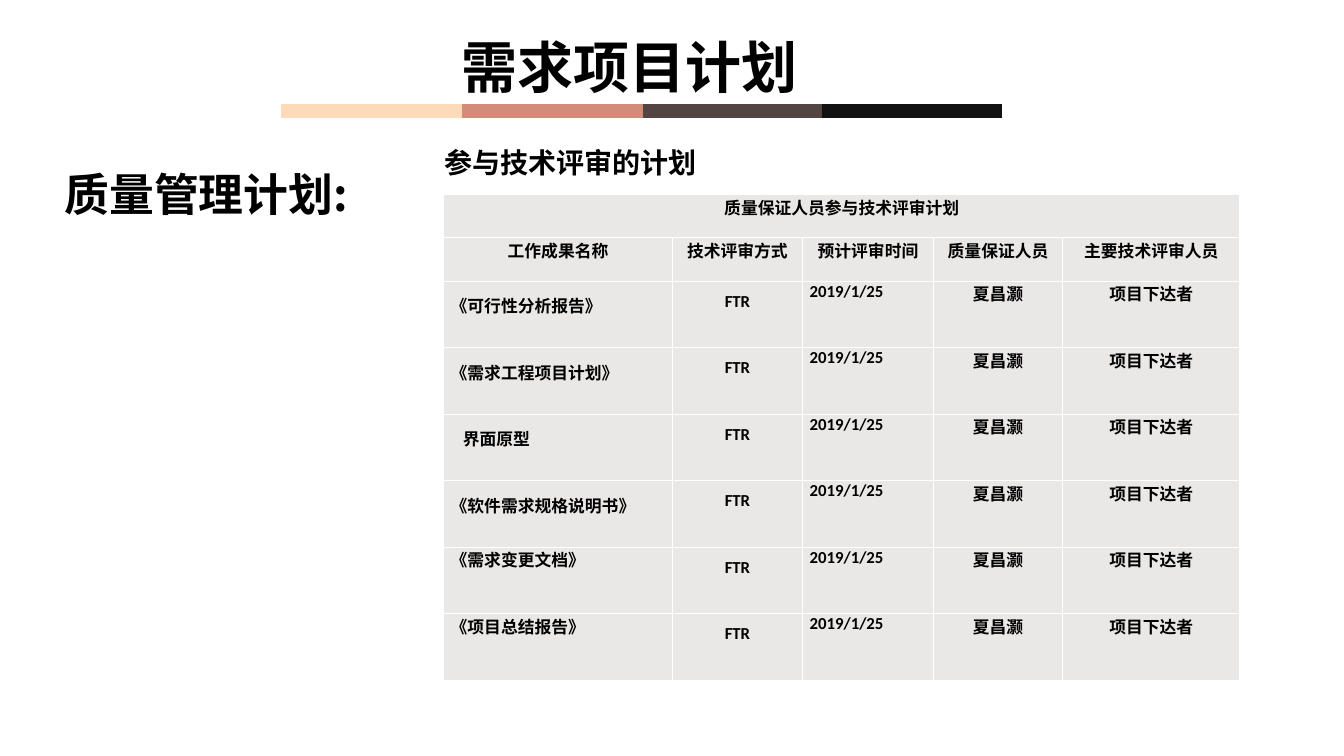
from pptx import Presentation
from pptx.dml.color import RGBColor
from pptx.enum.shapes import MSO_CONNECTOR
from pptx.enum.text import MSO_ANCHOR, PP_ALIGN
from pptx.oxml.ns import qn
from pptx.util import Inches, Pt
from lxml.etree import SubElement

CJK = "Noto Sans CJK SC"
LEFT, MID, JUST = PP_ALIGN.LEFT, PP_ALIGN.CENTER, PP_ALIGN.JUSTIFY


def color(code):
    return RGBColor.from_string(code)


def apply(item, values):
    for name, value in values.items():
        setattr(item, name, value)


class Page:
    ink, fill, edge = "000000", "EAE8E7", "FFFFFF"

    def __init__(self, deck):
        self.slide = deck.slides.add_slide(deck.slide_layouts[6])
        self.shapes = self.slide.shapes

    def label(self, frame, text, size, font, **form):
        para = frame.paragraphs[0]
        apply(para, form)
        run = para.add_run()
        run.text = text
        apply(run.font, dict(size=Pt(size), name=font, bold=True))
        run.font.color.rgb = color(self.ink)
        SubElement(run.font._element, qn("a:ea"), typeface=CJK)
        return para

    def text(self, box, text, size, font, frame={}, **form):
        body = self.shapes.add_textbox(*map(Inches, box)).text_frame
        apply(body, dict(word_wrap=False, **frame))
        self.label(body, text, size, font, **form)

    def line(self, start, end, y, code, width):
        ends = map(Inches, (start, y, end, y))
        bar = self.shapes.add_connector(MSO_CONNECTOR.STRAIGHT, *ends)
        bar.line.color.rgb = color(code)
        bar.line.width = Pt(width)
        SubElement(bar._element.spPr, qn("a:effectLst"))

    def cell(self, cell, text, **form):
        apply(cell, dict(margin_left=Inches(0.07), margin_right=Inches(0.07),
                         margin_top=0, margin_bottom=0))
        props = cell._tc.get_or_add_tcPr()
        for side in ("lnL", "lnR", "lnT", "lnB"):
            rule = SubElement(props, qn("a:" + side), w=str(Pt(1)))
            paint = SubElement(rule, qn("a:solidFill"))
            SubElement(paint, qn("a:srgbClr"), val=self.edge)
        cell.fill.solid()
        cell.fill.fore_color.rgb = color(self.fill)
        if text:
            return self.label(cell.text_frame, text, 12, "Calibri", **form)

    def table(self, box, cols, rows, data):
        grid = self.shapes.add_table(len(rows), len(cols), *map(Inches, box)).table
        apply(grid, dict(first_row=False, horz_banding=False))
        for col, width in zip(grid.columns, cols):
            col.width = Inches(width)
        for row, height in zip(grid.rows, rows):
            row.height = Inches(height)
        for row, line in zip(grid.rows, data):
            for cell, (text, form) in zip(row.cells, line):
                form = dict(form)
                inset = form.pop("inset", 0)
                para = self.cell(cell, text, **form)
                if inset:
                    para._p.get_or_add_pPr().set("marL", str(Inches(inset)))
        grid.cell(0, 0).merge(grid.cell(0, len(cols) - 1))


def main():
    deck = Presentation()
    apply(deck, dict(slide_width=Inches(13.33), slide_height=Inches(7.5)))
    page = Page(deck)

    # Colour bar under the title
    stops = [(2.79, 4.58, "FDDAB8"), (4.58, 6.38, "D28C79"),
             (6.38, 8.17, "534544"), (8.15, 9.94, "121212")]
    for start, end, code in stops:
        page.line(start, end, 1.1, code, 10)

    # Headings
    page.text((4.48, 0.35, 4.77, 0.4), "需求项目计划", 40, "Quicksand",
              alignment=LEFT, line_spacing=0.9)
    page.text((0.48, 1.61, 2.99, 0.64), "质量管理计划:", 32, CJK, alignment=MID)
    page.text((4.29, 1.27, 2.74, 0.68), "参与技术评审的计划", 20, "Arial",
              dict(vertical_anchor=MSO_ANCHOR.MIDDLE), alignment=MID)

    # Review plan
    mid, just = dict(alignment=MID), dict(alignment=JUST)
    wide = dict(line_spacing=1.5)
    heads = ["工作成果名称", "技术评审方式", "预计评审时间", "质量保证人员", "主要技术评审人员"]
    works = [("《可行性分析报告》", wide), ("《需求工程项目计划》", wide),
             ("界面原型", dict(wide, inset=0.12)), ("《软件需求规格说明书》", wide),
             ("《需求变更文档》", {}), ("《项目总结报告》", {})]
    data = [[("质量保证人员参与技术评审计划", mid)] + [("", mid)] * 4,
            [(head, mid) for head in heads]]
    for work, form in works:
        data.append([(work, just | form), ("FTR", mid | wide), ("2019/1/25", just),
                     ("夏昌灏", mid), ("项目下达者", mid)])
    page.table((4.4, 1.93, 7.9, 4.82), [2.27, 1.29, 1.3, 1.28, 1.76],
               [0.43] * 2 + [0.66] * 6, data)

    deck.save("out.pptx")


if __name__ == "__main__":
    main()
